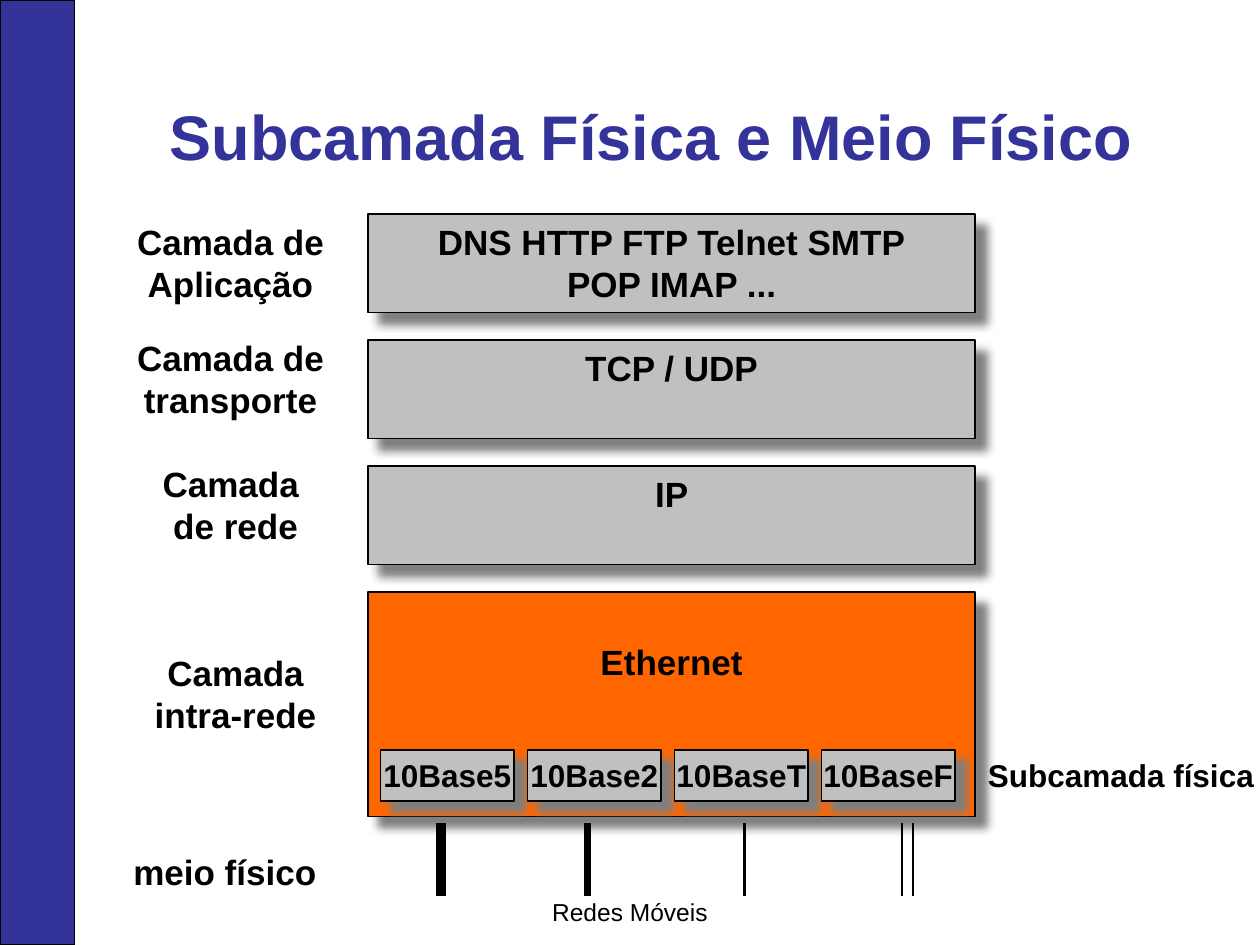
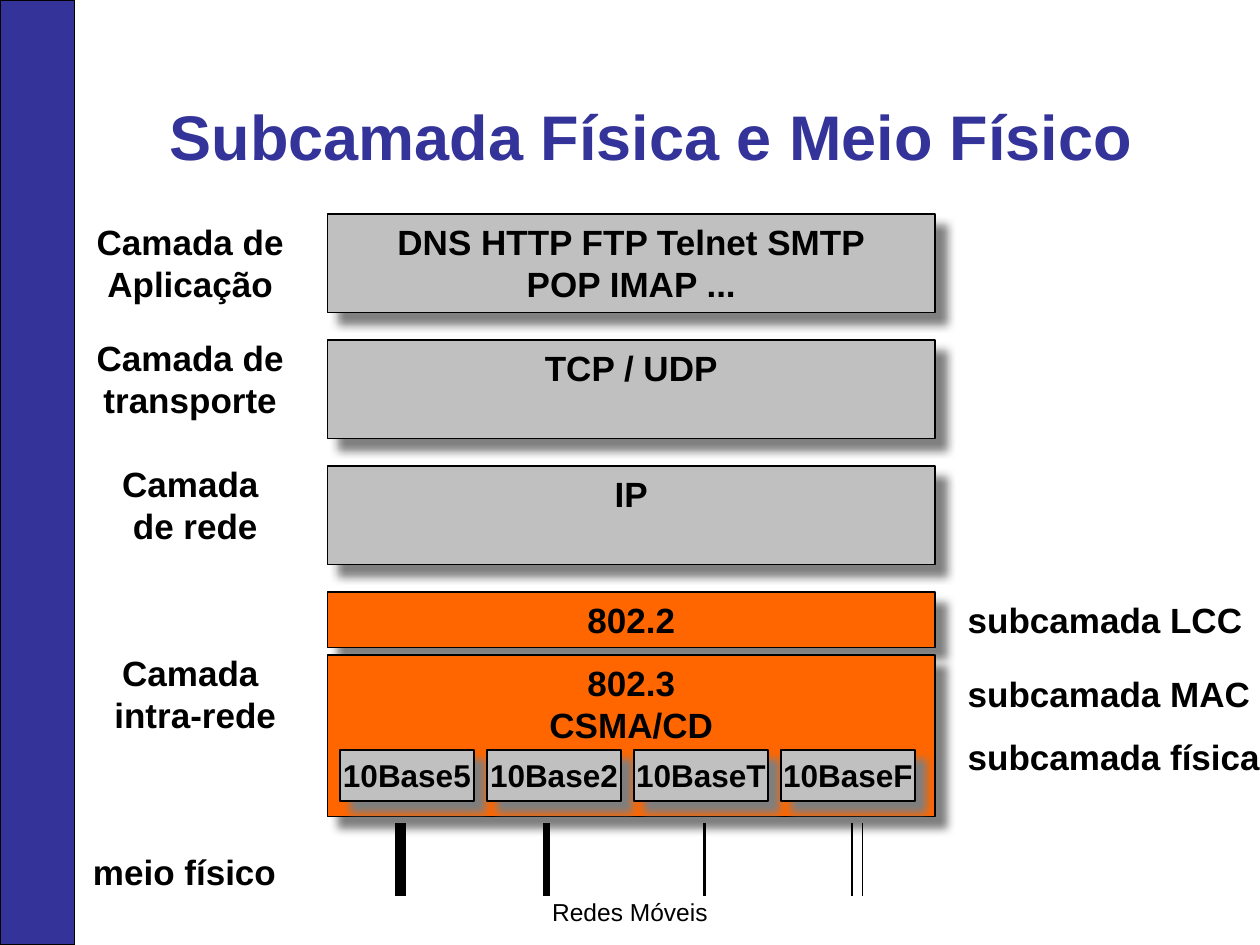
from dataclasses import dataclass
from lxml.etree import SubElement
from pptx import Presentation
from pptx.dml.color import RGBColor
from pptx.enum.shapes import MSO_CONNECTOR as Link, MSO_SHAPE as Form
from pptx.enum.text import MSO_ANCHOR as Anchor, PP_ALIGN as Align
from pptx.oxml.ns import qn
from pptx.util import Inches, Pt

BLUE = RGBColor(0x33, 0x33, 0x99)
GRAY = RGBColor(0xC0, 0xC0, 0xC0)
ORANGE = RGBColor(0xFF, 0x66, 0x00)
BLACK = RGBColor(0, 0, 0)
SHADE = RGBColor(0x80, 0x80, 0x80)
FONT = "Arial"
CELL = Inches(0.1)
COLS, ROWS = 100, 75
STEP = 10
LAYERS = ("DNS HTTP FTP Telnet SMTP\vPOP IMAP ...", "TCP / UDP", "IP")
CHIPS = ("10Base5", "10Base2", "10BaseT", "10BaseF")
CABLES = ((5.8, 6), (17.4, 4), (29.9, 2))


@dataclass
class Box:
    """A region of the slide, in grid columns and rows."""
    x: float
    y: float
    w: float
    h: float

    def area(self, x, y, w, h):
        """Return a region placed relative to this one."""
        return Box(self.x + x, self.y + y, w, h)

    def emu(self):
        """Return left, top, width and height as lengths."""
        return [round(n * CELL) for n in (self.x, self.y, self.w, self.h)]


def write(shape, text, size=20, color=BLACK, bold=True, align=Align.CENTER,
          anchor=Anchor.TOP, side=1, top=0.5):
    """Fill a shape with one styled paragraph."""
    frame = shape.text_frame
    frame.word_wrap = True
    frame.vertical_anchor = anchor
    frame.margin_left = frame.margin_right = round(side * CELL)
    frame.margin_top, frame.margin_bottom = round(top * CELL), round(0.5 * CELL)
    para = frame.paragraphs[0]
    para.text = text
    para.alignment = align
    font = para.font
    font.name, font.size, font.bold = FONT, Pt(size), bold
    font.color.rgb = color


def label(slide, box, text, **style):
    """Add plain text in a region."""
    write(slide.shapes.add_textbox(*box.emu()), text, **style)


def block(slide, box, fill, width=1):
    """Add a flat outlined rectangle."""
    shape = slide.shapes.add_shape(Form.RECTANGLE, *box.emu())
    shape.shadow.inherit = False
    shape.fill.solid()
    shape.fill.fore_color.rgb = fill
    shape.line.color.rgb = BLACK
    shape.line.width = Pt(width)
    return shape


def panel(slide, box, fill, text, **style):
    """Add a rectangle with text and a drop shadow."""
    shape = block(slide, box, fill)
    effects = shape._element.spPr.find(qn("a:effectLst"))
    shadow = SubElement(effects, qn("a:outerShdw"), blurRad=str(Pt(5)),
                        dist=str(Pt(8.5)), dir="2700000", algn="ctr",
                        rotWithShape="0")
    SubElement(shadow, qn("a:srgbClr"), val=str(SHADE))
    write(shape, text, **style)


def frame(deck):
    """Add a slide with the side band, footer and title."""
    slide = deck.slides.add_slide(deck.slide_layouts[6])
    page = Box(0, 0, COLS, ROWS)
    block(slide, page.area(0, 0, 5.9, ROWS), BLUE, 0.75)
    label(slide, page.area(0, 70.7, COLS, 3.4), "Redes Móveis", size=14, bold=False)
    label(slide, page.area(4.2, 2.1, 95, 12.1), "Subcamada Física e Meio Físico",
          size=36, color=BLUE, anchor=Anchor.BOTTOM)
    return slide


def names(slide, box, link):
    """Add the layer names down the left of the stack."""
    rows = ((0, 20, "Camada de Aplicação"), (9.2, 20, "Camada de transporte"),
            (19.2, 20.8, "Camada \vde rede"), (34.2, 20.8, link),
            (50, 19.1, "meio físico"))
    for y, w, text in rows:
        label(slide, box.area(0, y, w, 7.6), text)


def stack(slide, box, links):
    """Add the upper layers, then the link layers with their own rows."""
    for i, text in enumerate(LAYERS):
        panel(slide, box.area(0, i * STEP, box.w, 7.8), GRAY, text)
    for y, h, top, text in links:
        panel(slide, box.area(0, y, box.w, h), ORANGE, text, side=0, top=top)


def chips(slide, box):
    """Add the row of physical sublayer boxes."""
    pitch = box.w / len(CHIPS)
    for i, text in enumerate(CHIPS):
        panel(slide, box.area(i * pitch, 0, 10.6, box.h), GRAY, text, size=18, side=0)


def cables(slide, box, fiber):
    """Add the cables, the fibre being a pair of thin lines."""
    for x, width in CABLES + ((fiber, 1), (fiber + 0.85, 1)):
        left, top, _, high = box.area(x, 0, 0, box.h).emu()
        line = slide.shapes.add_connector(Link.STRAIGHT, left, top, left, top + high)
        line.line.color.rgb = BLACK
        line.line.width = Pt(width)
        SubElement(line._element.spPr, qn("a:effectLst"))


def layers(deck, left, link, links, fiber, gap, notes, size):
    """Build one slide of the layer diagram."""
    slide = frame(deck)
    box = Box(left, 17, 48.2, 47.8)
    names(slide, box.area(-20.9, 0, 20.8, 57), link)
    stack(slide, box, links)
    chips(slide, box.area(1, 42.5, 46.67, 4.1))
    for y, text in notes:
        label(slide, box.area(box.w + gap, y, 27.5, 4.3), text, size=size,
              align=Align.LEFT, side=0)
    cables(slide, box.area(0, 48.3, box.w, 5.8), fiber)


def main():
    """Build and save the two slides."""
    deck = Presentation()
    deck.slide_width, deck.slide_height = COLS * CELL, ROWS * CELL
    layers(deck, 29.2, "Camada\vintra-rede", [(30, 17.8, 3.85, "Ethernet")],
           42.4, 1, [(42.5, "Subcamada física")], 18)
    layers(deck, 26, "Camada \vintra-rede",
           [(30, 4.4, 0.5, "802.2"), (35, 12.8, 0.5, "802.3\vCSMA/CD")], 41.6, 2.6,
           [(30, "subcamada LCC"), (35.9, "subcamada MAC"),
            (40.9, "subcamada física")], 20)
    deck.save("out.pptx")


if __name__ == "__main__":
    main()
